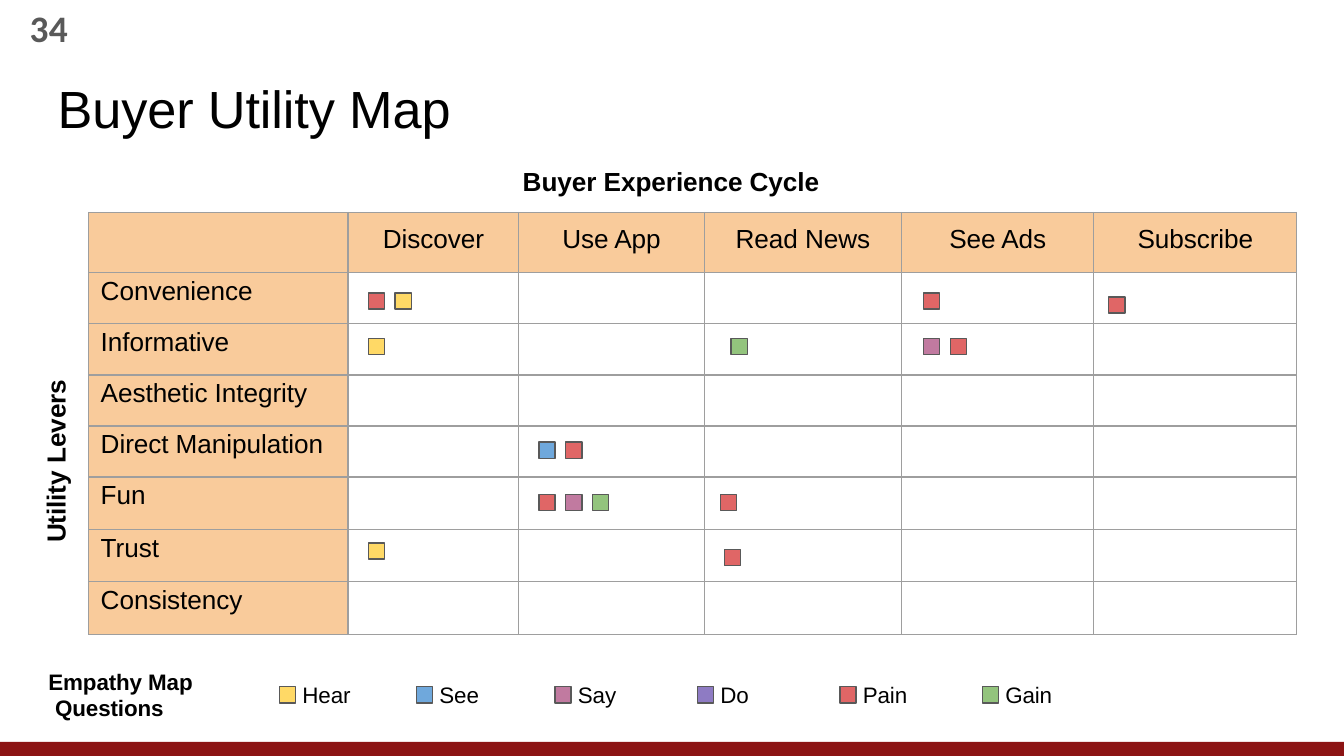
import pptx
import pptx.dml.color
import pptx.enum.shapes
import pptx.enum.text
import pptx.oxml
import pptx.oxml.ns
import pptx.util
from pptx.util import Inches

COLORS = {
    "Hear": "FFD966",
    "See": "6FA8DC",
    "Say": "C17AA0",
    "Do": "8E7BC3",
    "Pain": "E06666",
    "Gain": "93C47D",
}
LEGEND_LEFTS = [2.08, 3.10, 4.13, 5.19, 6.25, 7.31]
MARKER_SIZE = 0.12
MARKER_STEP = 0.2

STAGES = ["Discover", "Use App", "Read News", "See Ads", "Subscribe"]
LEVERS = ["Convenience", "Informative", "Aesthetic Integrity",
          "Direct Manipulation", "Fun", "Trust", "Consistency"]
COLUMN_WIDTHS = [1.93, 1.27, 1.38, 1.47, 1.43, 1.51]
ROW_HEIGHTS = [0.45] + [0.38] * 4 + [0.39] * 3
HEADER_FILL = "F9CB9B"

MARKERS = [
    (2.74, 2.18, ["Pain", "Hear"]),
    (6.87, 2.18, ["Pain"]),
    (8.25, 2.21, ["Pain"]),
    (2.74, 2.52, ["Hear"]),
    (5.44, 2.52, ["Gain"]),
    (6.87, 2.52, ["Say", "Pain"]),
    (4.01, 3.29, ["See", "Pain"]),
    (4.01, 3.68, ["Pain", "Say", "Gain"]),
    (5.36, 3.68, ["Pain"]),
    (2.74, 4.04, ["Hear"]),
    (5.39, 4.09, ["Pain"]),
]


def color(value):
    return pptx.dml.color.RGBColor.from_string(value)


def format_text(paragraph, text, size=14, bold=False, font="Arial",
                fill="000000", spacing=-0.05, alignment=None):
    run = paragraph.add_run()
    run.text = text
    run.font.size = pptx.util.Pt(size)
    run.font.bold = bold
    run.font.name = font
    run.font.color.rgb = color(fill)
    run.font._element.set("spc", str(round(spacing * 100)))
    paragraph.alignment = alignment


def add_text(slide, left, top, width, height, text, line_spacing=None,
             hanging=0, wrap=False, vertical=False, **text_format):
    shape = slide.shapes.add_textbox(
        Inches(left), Inches(top), Inches(width), Inches(height))
    frame = shape.text_frame
    frame.word_wrap = wrap
    frame.margin_left = 0 if vertical else Inches(0.01)
    frame.margin_top = 0 if vertical else Inches(0.02)
    frame.margin_right = frame.margin_bottom = 0
    if vertical:
        frame._txBody.bodyPr.set("vert", "vert270")
    paragraph = frame.paragraphs[0]
    if line_spacing:
        paragraph.line_spacing = pptx.util.Pt(line_spacing)
    if hanging:
        properties = paragraph._p.get_or_add_pPr()
        properties.set("marL", str(Inches(hanging)))
        properties.set("indent", str(-Inches(hanging)))
    format_text(paragraph, text, **text_format)


def add_rectangle(slide, left, top, width, height, fill, line=None):
    shape = slide.shapes.add_shape(
        pptx.enum.shapes.MSO_SHAPE.RECTANGLE,
        Inches(left), Inches(top), Inches(width), Inches(height))
    shape.shadow.inherit = False
    shape.fill.solid()
    shape.fill.fore_color.rgb = color(fill)
    if line:
        shape.line.color.rgb = color(line)
        shape.line.width = pptx.util.Pt(0.75)
    else:
        shape.line.fill.background()


def add_marker(slide, left, top, question):
    add_rectangle(slide, left, top, MARKER_SIZE, MARKER_SIZE,
                  COLORS[question], line="595959")


def set_borders(cell, line="9E9E9E", width=0.75):
    properties = cell._tc.get_or_add_tcPr()
    for side in ("lnL", "lnR", "lnT", "lnB"):
        properties.append(pptx.oxml.parse_xml(
            f'<a:{side} {pptx.oxml.ns.nsdecls("a")} w="{pptx.util.Pt(width)}">'
            f'<a:solidFill><a:srgbClr val="{line}"/></a:solidFill></a:{side}>'))


def fill_cell(cell, text, header, left=0, top=0, alignment=None):
    cell.margin_left = Inches(left)
    cell.margin_top = Inches(top)
    cell.margin_right = cell.margin_bottom = 0
    set_borders(cell)
    if header:
        cell.fill.solid()
        cell.fill.fore_color.rgb = color(HEADER_FILL)
    else:
        cell.fill.background()
    paragraph = cell.text_frame.paragraphs[0]
    if text:
        format_text(paragraph, text, alignment=alignment)
    else:
        paragraph.font.size = pptx.util.Pt(14)


def add_utility_table(slide):
    table = slide.shapes.add_table(
        len(ROW_HEIGHTS), len(COLUMN_WIDTHS), Inches(0.66), Inches(1.58),
        Inches(sum(COLUMN_WIDTHS)), Inches(sum(ROW_HEIGHTS))).table
    table.first_row = table.horz_banding = False
    for column, width in zip(table.columns, COLUMN_WIDTHS):
        column.width = Inches(width)
    for row, height in zip(table.rows, ROW_HEIGHTS):
        row.height = Inches(height)
    for index, stage in enumerate([""] + STAGES):
        fill_cell(table.cell(0, index), stage, True, top=0.09,
                  alignment=pptx.enum.text.PP_ALIGN.CENTER)
    for row, lever in enumerate(LEVERS, start=1):
        fill_cell(table.cell(row, 0), lever, True, left=0.09, top=0.03)
        for column in range(1, len(COLUMN_WIDTHS)):
            fill_cell(table.cell(row, column), "", False)


def add_legend(slide):
    add_text(slide, 0.35, 4.95, 1.11, 0.43, "Empathy Map Questions", size=12,
             bold=True, line_spacing=14.3, hanging=0.05, wrap=True)
    for left, question in zip(LEGEND_LEFTS, COLORS):
        add_marker(slide, left, 5.11, question)
        add_text(slide, left + 0.16, 5.05, 0.39, 0.23, question, size=12)


def main():
    presentation = pptx.Presentation()
    presentation.slide_width = pptx.util.Pt(720)
    presentation.slide_height = pptx.util.Pt(405)
    slide = presentation.slides.add_slide(presentation.slide_layouts[6])

    add_rectangle(slide, 0, 5.52, 10, 0.11, "8C1414")
    add_utility_table(slide)
    add_text(slide, 0.42, 0.55, 2.96, 0.49, "Buyer Utility Map", size=28)
    add_text(slide, 3.88, 1.21, 2.24, 0.26, "Buyer Experience Cycle", bold=True)
    add_text(slide, 0.3, 2.79, 0.25, 1.25, "Utility Levers", bold=True,
             vertical=True, line_spacing=16.4)
    add_legend(slide)
    for left, top, questions in MARKERS:
        for index, question in enumerate(questions):
            add_marker(slide, left + index * MARKER_STEP, top, question)
    add_text(slide, 0.21, 0.02, 0.32, 0.36, "34", size=20, bold=True,
             font="Calibri", fill="595959", spacing=0.2)

    presentation.save("out.pptx")


if __name__ == "__main__":
    main()
